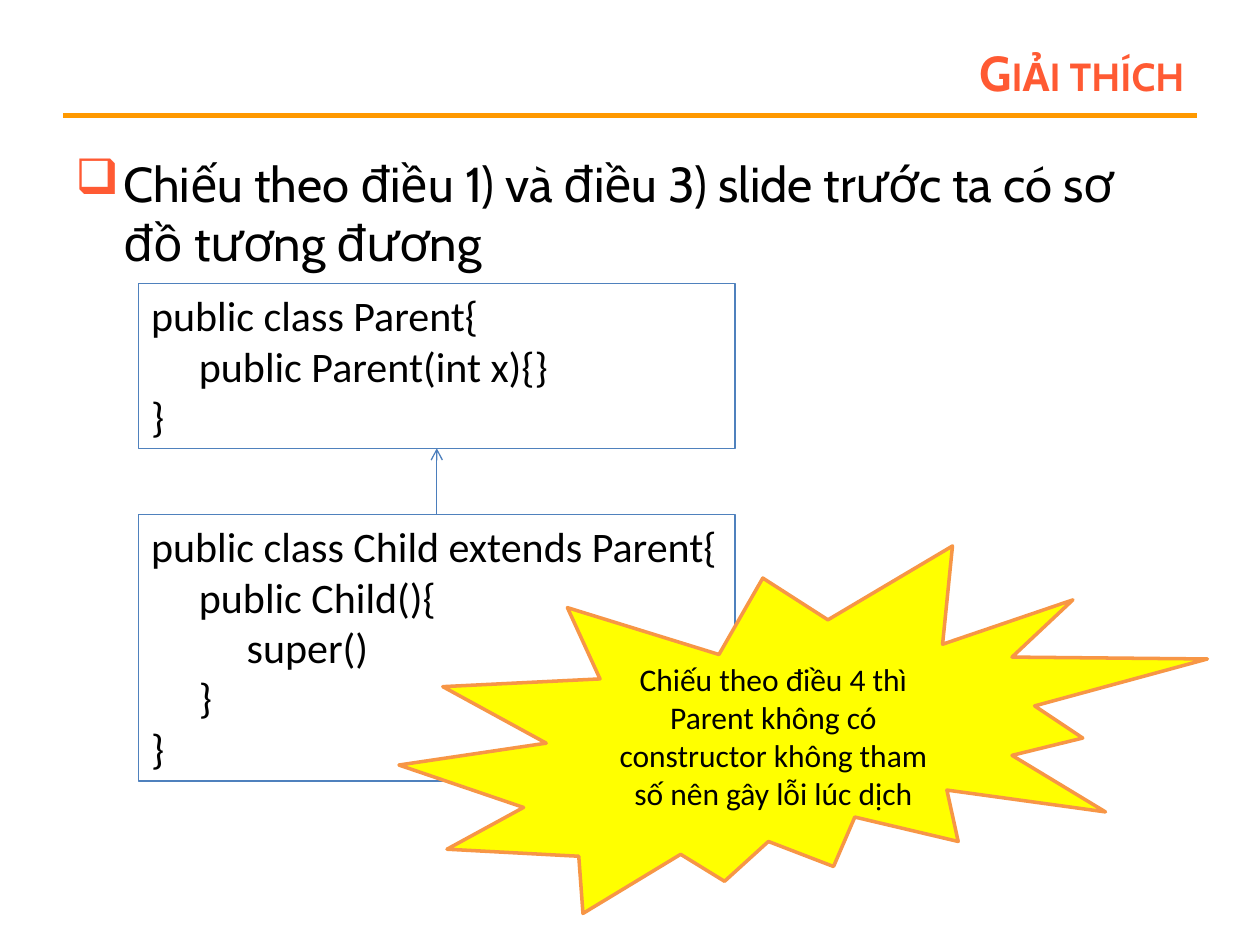
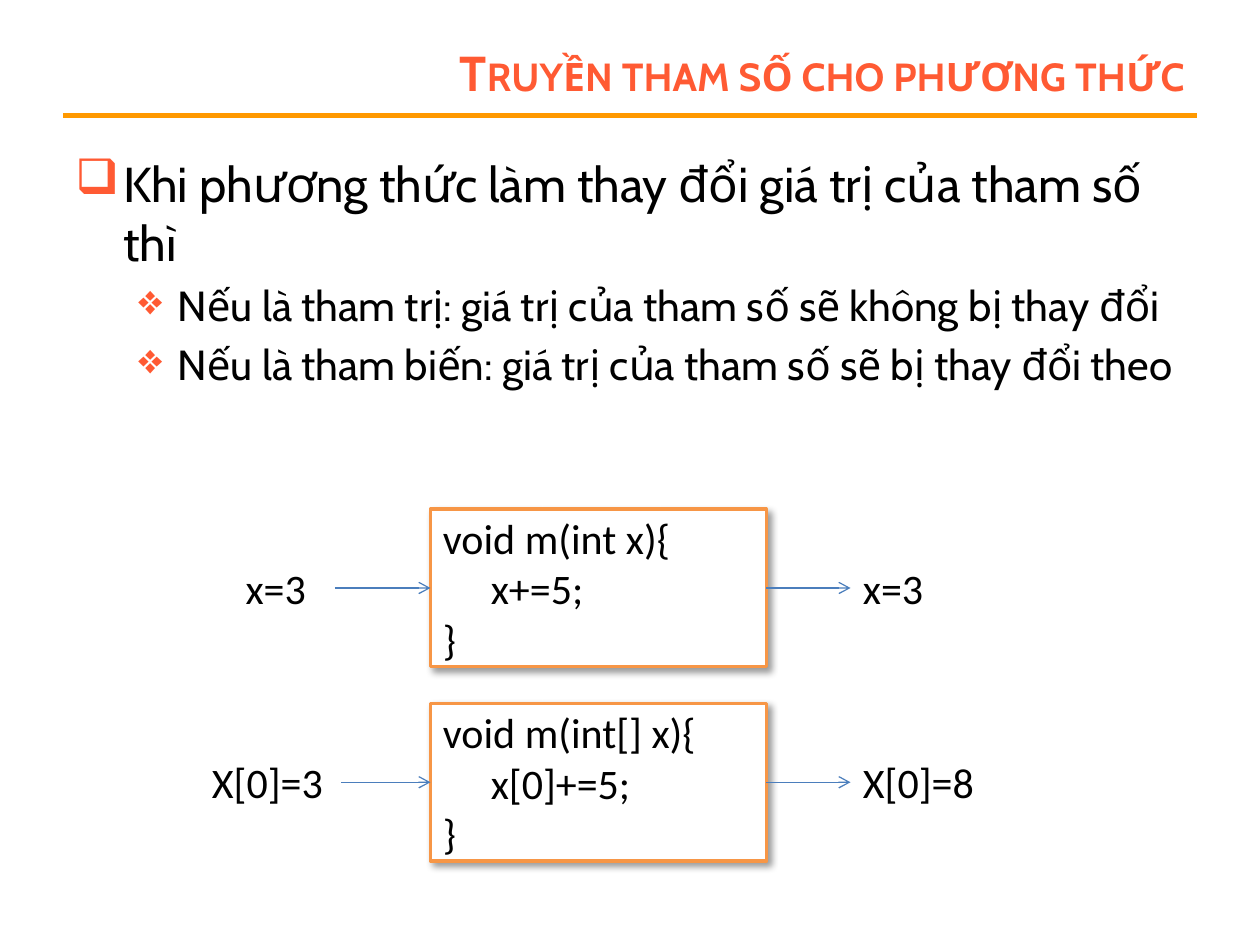
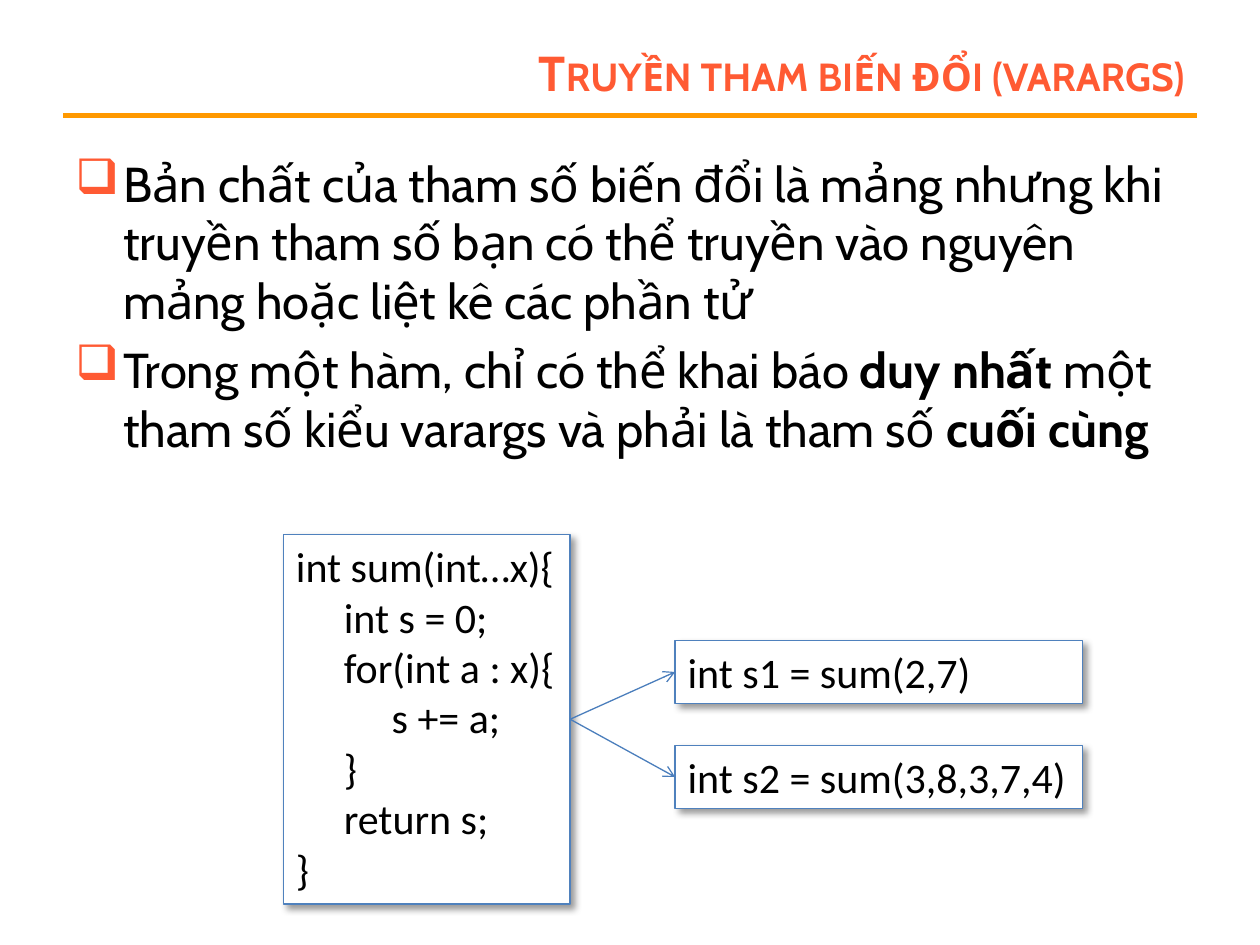
from dataclasses import dataclass

from lxml.etree import SubElement
from pptx import Presentation
from pptx.dml.color import RGBColor
from pptx.enum.shapes import MSO_CONNECTOR, MSO_SHAPE
from pptx.enum.text import MSO_ANCHOR, PP_ALIGN
from pptx.oxml.ns import qn
from pptx.slide import Slide
from pptx.text.text import TextFrame
from pptx.util import Inches, Pt

COLORS = {
    "heading": "FF5A33",
    "rule": "FF9900",
    "ink": "000000",
    "paper": "FFFFFF",
    "class": "4F81BD",
    "accent": "F79646",
    "arrow": "4B7EBC",
    "warning": "FFFF00",
}
HEADING_FONT, CODE_FONT = "Cabin", "Calibri"
CODE_SIZE = 24
CODE_INDENT = Inches(0.38)

# Grid of 120 columns by 90 rows
SLIDE_WIDTH, SLIDE_HEIGHT = Inches(10), Inches(7.5)
COLUMN, ROW = SLIDE_WIDTH / 120, SLIDE_HEIGHT / 90


@dataclass(frozen=True)
class Area:
    left: float
    top: float
    width: float
    height: float

    @property
    def right(self) -> float:
        return self.left + self.width

    @property
    def bottom(self) -> float:
        return self.top + self.height

    @property
    def center(self) -> float:
        return self.left + self.width / 2

    @property
    def middle(self) -> float:
        return self.top + self.height / 2

    def emu(self) -> tuple[int, ...]:
        return (round(self.left * COLUMN), round(self.top * ROW),
                round(self.width * COLUMN), round(self.height * ROW))


@dataclass(frozen=True)
class BoxStyle:
    line: str
    weight: float = 0.75
    fill: str | None = "paper"
    shadow: bool = True
    anchor: MSO_ANCHOR = MSO_ANCHOR.TOP


@dataclass(frozen=True)
class Bullet:
    text: str  # parts between asterisks are bold
    level: int = 0


@dataclass(frozen=True)
class BulletStyle:
    symbol: str
    size: int
    margin: float
    hanging: float


CLASS_BOX = BoxStyle("class", fill=None, shadow=False)
METHOD_BOX = BoxStyle("accent", 2, anchor=MSO_ANCHOR.MIDDLE)
CALL_BOX = BoxStyle("class")
WARNING_BOX = BoxStyle("accent", 2, "warning", False, MSO_ANCHOR.MIDDLE)
BULLET_STYLES = (BulletStyle("❑", 28, 0.38, 0.38),
                 BulletStyle("❖", 24, 0.81, 0.31))


def rgb(name: str) -> RGBColor:
    return RGBColor.from_string(COLORS[name])


def style_font(font, name: str, size: int, color: str = "ink") -> None:
    font.name, font.size = name, Pt(size)
    font.color.rgb = rgb(color)


# Shared parts
def add_line(slide: Slide, start: tuple[float, float], end: tuple[float, float],
             color: str = "arrow", weight: float = 0.75, arrow: bool = True) -> None:
    (x1, y1), (x2, y2) = start, end
    line = slide.shapes.add_connector(
        MSO_CONNECTOR.STRAIGHT, round(x1 * COLUMN), round(y1 * ROW),
        round(x2 * COLUMN), round(y2 * ROW))
    line.line.color.rgb = rgb(color)
    line.line.width = Pt(weight)
    if arrow:
        SubElement(line.line._get_or_add_ln(), qn("a:tailEnd"), type="arrow")
    SubElement(line._element.spPr, qn("a:effectLst"))


def add_text_area(slide: Slide, area: Area) -> TextFrame:
    frame = slide.shapes.add_textbox(*area.emu()).text_frame
    frame.word_wrap = True
    return frame


def add_titled_slide(deck: Presentation, title: str) -> Slide:
    slide = deck.slides.add_slide(deck.slide_layouts[6])
    add_line(slide, (6, 11), (114, 11), "rule", 3, arrow=False)
    frame = add_text_area(slide, Area(27, 3.6, 87, 6.4))
    frame.vertical_anchor = MSO_ANCHOR.MIDDLE
    heading = frame.paragraphs[0]
    heading.text, heading.alignment = title, PP_ALIGN.RIGHT
    style_font(heading.font, HEADING_FONT, 28, "heading")
    heading.font.bold = True
    heading._p.pPr.find(qn("a:defRPr")).set("cap", "small")
    return slide


def add_bullets(slide: Slide, rows: float, bullets: list[Bullet]) -> None:
    frame = add_text_area(slide, Area(6, 14, 108, rows))
    for index, bullet in enumerate(bullets):
        style = BULLET_STYLES[bullet.level]
        paragraph = frame.add_paragraph() if index else frame.paragraphs[0]
        paragraph.level = bullet.level
        paragraph.space_before = Pt(style.size * 0.2)
        properties = paragraph._p.get_or_add_pPr()
        properties.set("marL", str(Inches(style.margin)))
        properties.set("indent", str(-Inches(style.hanging)))
        color = SubElement(properties, qn("a:buClr"))
        SubElement(color, qn("a:srgbClr"), val=COLORS["heading"])
        SubElement(properties, qn("a:buChar"), char=style.symbol)
        style_font(paragraph.font, HEADING_FONT, style.size)
        for part, text in enumerate(bullet.text.split("*")):
            if text:
                run = paragraph.add_run()
                run.text = text
                if part % 2:
                    run.font.bold = True


# Code and diagram parts
def write_code(frame: TextFrame, code: str) -> None:
    """Write one paragraph per line; each leading tab is one indent."""
    for index, line in enumerate(code.split("\n")):
        paragraph = frame.add_paragraph() if index else frame.paragraphs[0]
        text = line.lstrip("\t")
        paragraph.text, paragraph.alignment = text, PP_ALIGN.LEFT
        depth = len(line) - len(text)
        paragraph._p.get_or_add_pPr().set("marL", str(depth * CODE_INDENT))
        style_font(paragraph.font, CODE_FONT, CODE_SIZE)


def add_box(slide: Slide, area: Area, style: BoxStyle,
            outline: MSO_SHAPE = MSO_SHAPE.RECTANGLE) -> TextFrame:
    box = slide.shapes.add_shape(outline, *area.emu())
    box.shadow.inherit = False
    if style.fill:
        box.fill.solid()
        box.fill.fore_color.rgb = rgb(style.fill)
    else:
        box.fill.background()
    box.line.color.rgb = rgb(style.line)
    box.line.width = Pt(style.weight)
    if style.shadow:
        effects = box._element.spPr.find(qn("a:effectLst"))
        shadow = SubElement(effects, qn("a:outerShdw"), blurRad=str(Pt(4)),
                            dist=str(Pt(3)), dir=str(45 * 60000),
                            algn="tl", rotWithShape="0")
        color = SubElement(shadow, qn("a:srgbClr"), val=COLORS["ink"])
        SubElement(color, qn("a:alpha"), val="40000")
    frame = box.text_frame
    frame.word_wrap, frame.vertical_anchor = True, style.anchor
    return frame


def add_code_box(slide: Slide, area: Area, style: BoxStyle, code: str) -> None:
    write_code(add_box(slide, area, style), code)


# Slides
def build_explanation(deck: Presentation) -> None:
    slide = add_titled_slide(deck, "Giải thích")
    add_bullets(slide, 15, [Bullet(
        "Chiếu theo điều 1) và điều 3) slide trước ta có sơ đồ tương đương")])
    parent, child = Area(13.2, 27, 56.8, 15.7), Area(13.2, 49, 56.8, 25.4)
    add_line(slide, (child.center, child.top), (parent.center, parent.bottom))
    add_code_box(slide, parent, CLASS_BOX,
                 "public class Parent{\n\tpublic Parent(int x){}\n}")
    add_code_box(slide, child, CLASS_BOX,
                 "public class Child extends Parent{\n\tpublic Child(){\n"
                 "\t\tsuper()\n\t}\n}")
    warning = add_box(slide, Area(38, 52, 77, 35), WARNING_BOX,
                      MSO_SHAPE.EXPLOSION2).paragraphs[0]
    warning.text = ("Chiếu theo điều 4 thì Parent không có constructor "
                    "không tham số nên gây lỗi lúc dịch")
    warning.alignment = PP_ALIGN.CENTER
    style_font(warning.font, CODE_FONT, 18)


@dataclass(frozen=True)
class MethodCall:
    top: float
    before: str
    before_left: float
    before_width: float
    code: str
    after: str


METHOD_CALLS = (
    MethodCall(48.5, "x=3", 22.2, 9.7, "void m(int x){\n\tx+=5;\n}", "x=3"),
    MethodCall(67, "X[0]=3", 19, 13.5, "void m(int[] x){\n\tx[0]+=5;\n}", "X[0]=8"),
)


def build_parameter_passing(deck: Presentation) -> None:
    slide = add_titled_slide(deck, "Truyền tham số cho phương thức")
    add_bullets(slide, 69, [
        Bullet("Khi phương thức làm thay đổi giá trị của tham số thì"),
        Bullet("Nếu là tham trị: giá trị của tham số sẽ không bị thay đổi", 1),
        Bullet("Nếu là tham biến: giá trị của tham số sẽ bị thay đổi theo", 1),
    ])
    for call in METHOD_CALLS:
        method = Area(41, call.top, 32, 15)
        label_top = call.top + 4.5
        before = Area(call.before_left, label_top, call.before_width, 6)
        after = Area(81, label_top, 18, 6)
        add_code_box(slide, method, METHOD_BOX, call.code)
        write_code(add_text_area(slide, before), call.before)
        write_code(add_text_area(slide, after), call.after)
        for start, end in ((method.right, after.left), (before.right, method.left)):
            add_line(slide, (start, method.middle), (end, method.middle))


def build_varargs(deck: Presentation) -> None:
    slide = add_titled_slide(deck, "Truyền tham biến đổi (varargs)")
    add_bullets(slide, 37, [
        Bullet("Bản chất của tham số biến đổi là mảng nhưng khi truyền tham số "
               "bạn có thể truyền vào nguyên mảng hoặc liệt kê các phần tử"),
        Bullet("Trong một hàm, chỉ có thể khai báo *duy nhất *một tham số kiểu "
               "varargs và phải là tham số *cuối cùng*"),
    ])
    method = Area(27, 50.9, 27.3, 35.2)
    add_code_box(slide, method, CALL_BOX,
                 "int sum(int…x){\n\tint s = 0;\n\tfor(int a : x){\n"
                 "\t\ts += a;\n\t}\n\treturn s;\n}")
    for index, code in enumerate(("int s1 = sum(2,7)", "int s2 = sum(3,8,3,7,4)")):
        call = Area(64.3, 61 + 10 * index, 38.8, 6)
        add_code_box(slide, call, CALL_BOX, code)
        add_line(slide, (method.right, method.middle), (call.left, call.middle))


def main() -> None:
    deck = Presentation()
    deck.slide_width, deck.slide_height = SLIDE_WIDTH, SLIDE_HEIGHT
    build_explanation(deck)
    build_parameter_passing(deck)
    build_varargs(deck)
    deck.save("out.pptx")


if __name__ == "__main__":
    main()
